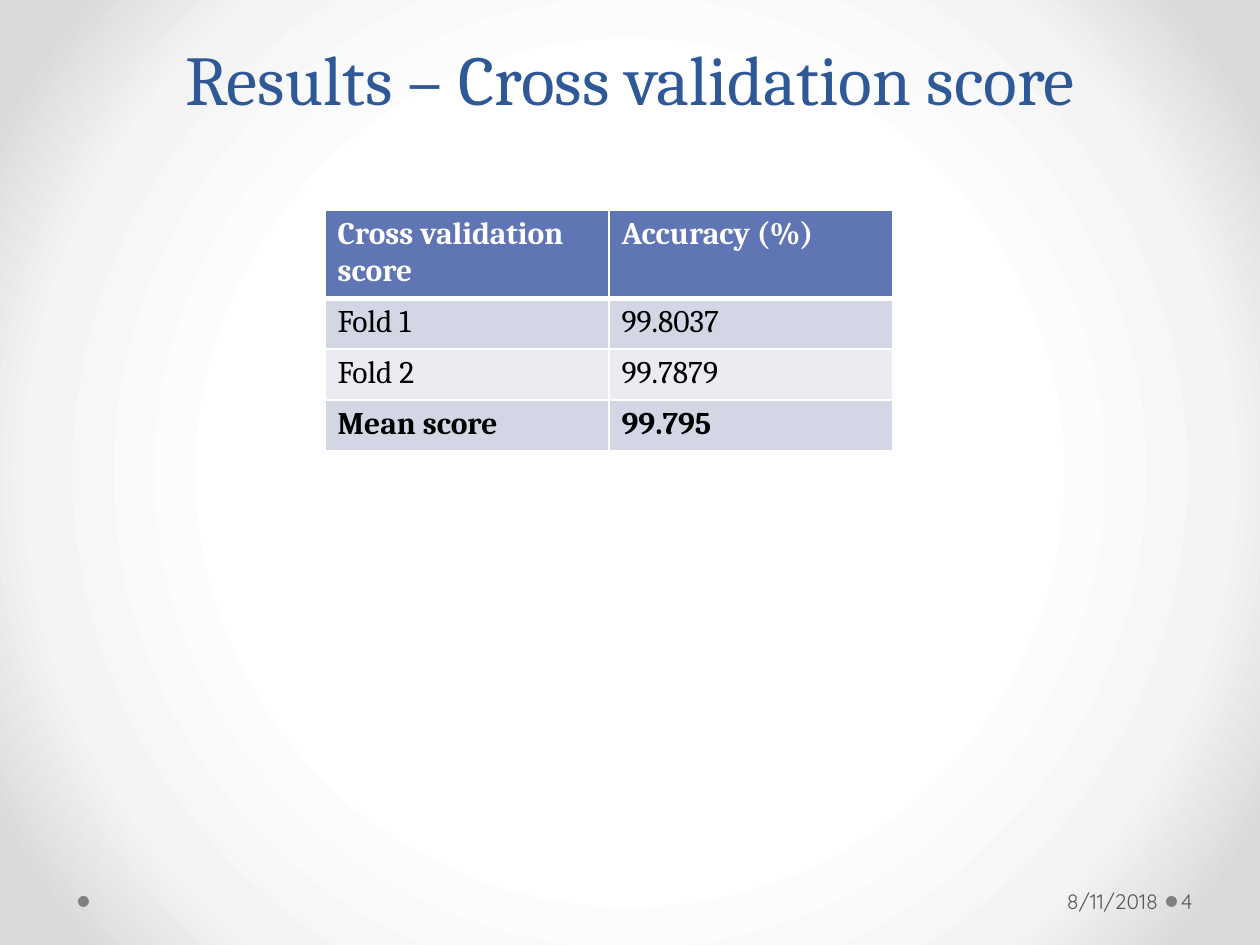
import pptx
import pptx.dml.color
import pptx.enum.shapes
import pptx.enum.text
import pptx.oxml
import pptx.oxml.ns
import pptx.util

EMU_PER_PX = 914400 / 126
ALIGN = pptx.enum.text.PP_ALIGN
ANCHOR = pptx.enum.text.MSO_ANCHOR
COLORS = {
    "title": "2F5897",
    "footer": "595959",
    "dot": "808080",
    "header": "6076B4",
    "odd": "D2D6E5",
    "even": "EAECF2",
    "white": "FFFFFF",
    "black": "000000",
}
BACKGROUND_STOPS = [(50, "FFFFFF"), (76, "F4F4F4"), (92, "DADADA")]
SCORES = [
    ("Cross validation score", "Accuracy (%)"),
    ("Fold 1", "99.8037"),
    ("Fold 2", "99.7879"),
    ("Mean score", "99.795"),
]


def px(length):
    return pptx.util.Emu(round(length * EMU_PER_PX))


def rgb(name):
    return pptx.dml.color.RGBColor.from_string(COLORS[name])


def write(frame, text, font="Cambria", size=18, color="black", bold=False,
          align=ALIGN.LEFT, spacing=None):
    para = frame.paragraphs[0]
    para.alignment = align
    if spacing:
        para.line_spacing = pptx.util.Pt(spacing)
    span = para.add_run()
    span.text = text
    span.font.name = font
    span.font.size = pptx.util.Pt(size)
    span.font.bold = bold
    span.font.color.rgb = rgb(color)


def add_text(page, at, text, anchor=ANCHOR.MIDDLE, insets=(13, 6, 13, 6), **style):
    box = page.shapes.add_textbox(*map(px, at))
    frame = box.text_frame
    frame.word_wrap = True
    frame.vertical_anchor = anchor
    (frame.margin_left, frame.margin_top,
     frame.margin_right, frame.margin_bottom) = map(px, insets)
    write(frame, text, **style)


def add_dot(page, left, top, size=11):
    dot = page.shapes.add_shape(pptx.enum.shapes.MSO_SHAPE.OVAL,
                                px(left), px(top), px(size), px(size))
    dot.shadow.inherit = False
    dot.fill.solid()
    dot.fill.fore_color.rgb = rgb("dot")
    dot.line.fill.background()


def set_background(page):
    fill = page.background.fill
    fill.gradient()
    old = next(page.element.iter(pptx.oxml.ns.qn("a:gradFill")))
    stops = "".join(
        f'<a:gs pos="{position * 1000}"><a:srgbClr val="{color}"/></a:gs>'
        for position, color in BACKGROUND_STOPS)
    radial = pptx.oxml.parse_xml(
        f'<a:gradFill {pptx.oxml.ns.nsdecls("a")} rotWithShape="1">'
        f'<a:gsLst>{stops}</a:gsLst><a:path path="circle">'
        '<a:fillToRect l="50000" t="50000" r="50000" b="50000"/>'
        '</a:path></a:gradFill>')
    old.getparent().replace(old, radial)


def set_borders(cell, **widths):
    properties = cell._tc.get_or_add_tcPr()
    for index, side in enumerate("LRTB"):
        width = pptx.util.Pt(widths.get(side, 1))
        properties.insert(index, pptx.oxml.parse_xml(
            f'<a:ln{side} {pptx.oxml.ns.nsdecls("a")} w="{width}"><a:solidFill>'
            f'<a:srgbClr val="{COLORS["white"]}"/></a:solidFill></a:ln{side}>'))


def add_score_table(page, left, top, column_width, row_height):
    rows, columns = len(SCORES), len(SCORES[0])
    table = page.shapes.add_table(
        rows, columns, px(left), px(top),
        px(column_width * columns), px(row_height * rows)).table
    for column in table.columns:
        column.width = px(column_width)
    for i, texts in enumerate(SCORES):
        table.rows[i].height = px(row_height)
        fill = "header" if i == 0 else "odd" if i % 2 else "even"
        for j, text in enumerate(texts):
            cell = table.cell(i, j)
            cell.fill.solid()
            cell.fill.fore_color.rgb = rgb(fill)
            # A thicker rule separates the header from the scores
            set_borders(cell, T=3 if i == 1 else 1, B=3 if i == 0 else 1)
            write(cell.text_frame, text, bold=i in (0, rows - 1),
                  color="white" if i == 0 else "black")


def main():
    deck = pptx.Presentation()
    deck.slide_width, deck.slide_height = px(1260), px(945)
    page = deck.slides.add_slide(deck.slide_layouts[6])
    set_background(page)

    # Footer dots
    for left in (1166, 78):
        add_dot(page, left, 896)

    # Title
    add_text(page, (63, 10, 1134, 116), "Results – Cross validation score",
             anchor=ANCHOR.BOTTOM, size=40, color="title",
             align=ALIGN.CENTER, spacing=58)

    # Date and page number
    footer = {"font": "Quicksand", "size": 12, "color": "footer"}
    add_text(page, (877, 876, 287, 50), "8/11/2018",
             insets=(13, 6, 6, 6), align=ALIGN.RIGHT, **footer)
    add_text(page, (1177, 876, 77, 50), "4", insets=(4, 6, 6, 6), **footer)

    # Scores
    add_score_table(page, 325, 210, 284, 51)

    deck.save("out.pptx")


if __name__ == "__main__":
    main()
